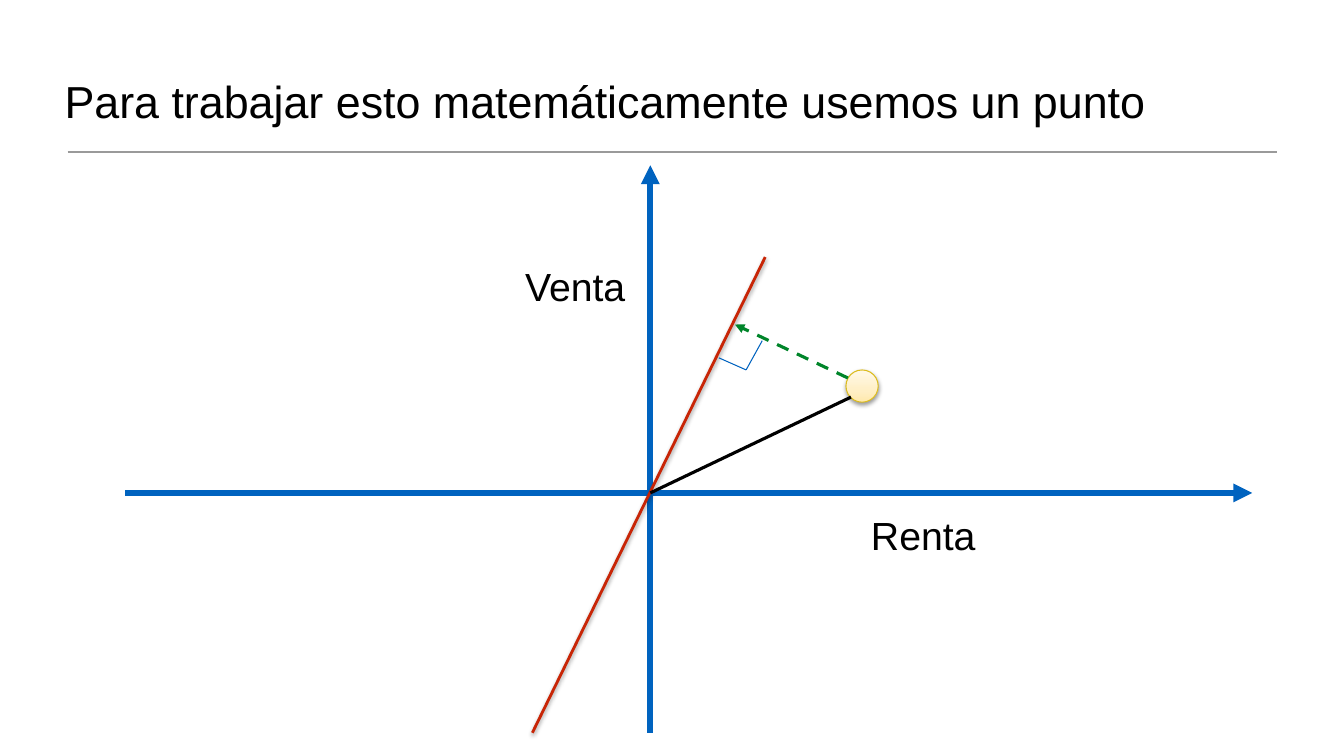
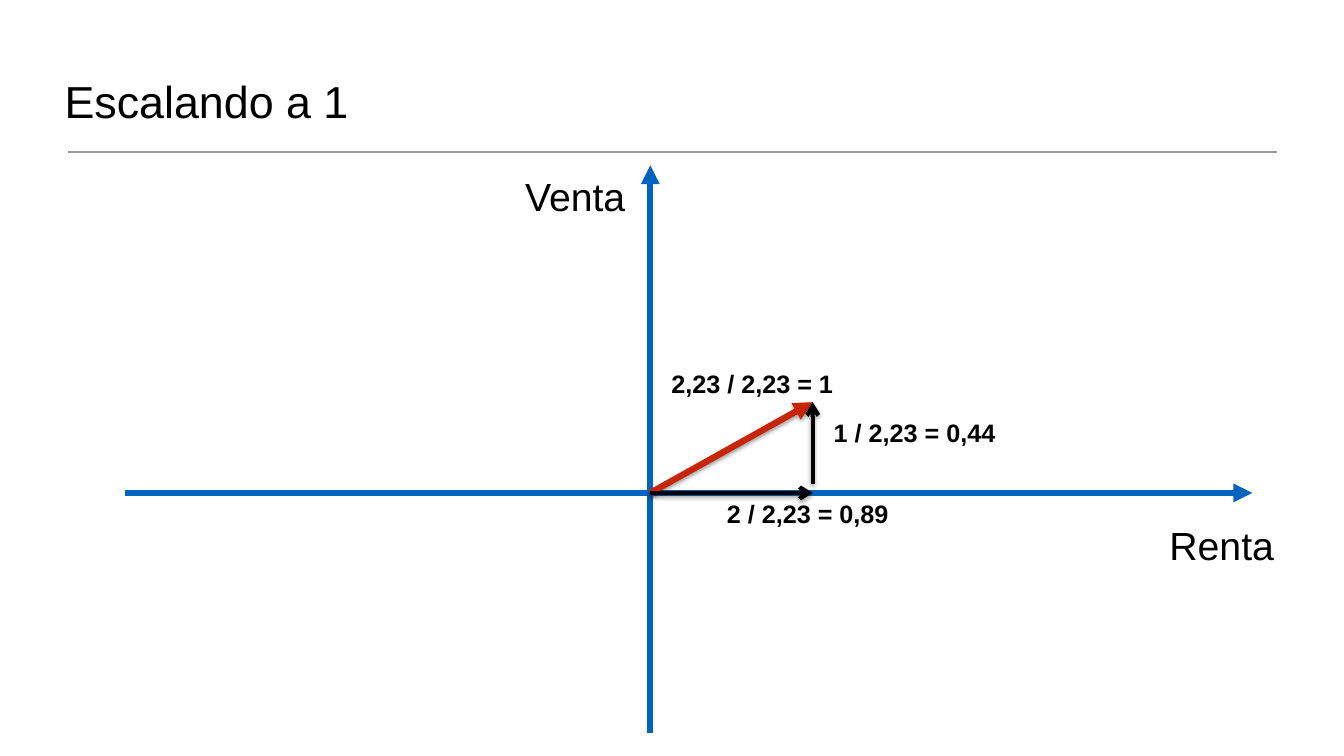
from dataclasses import dataclass
from typing import Any, Optional

from pptx import Presentation
from pptx.dml.color import RGBColor
from pptx.enum.dml import MSO_LINE
from pptx.enum.shapes import MSO_CONNECTOR, MSO_SHAPE
from pptx.enum.text import MSO_ANCHOR, MSO_AUTO_SIZE, PP_ALIGN
from pptx.oxml import parse_xml
from pptx.oxml.ns import nsdecls
from pptx.util import Inches, Pt

Point = tuple[float, float]

BLACK, BLUE, RED, GREEN = "000000", "0063BF", "C82506", "00852A"
GRAY, GOLD = "9A9A9A", "DCBC1E"
CREAM = ((0, "FFE9AD"), (35, "FFEFC5"), (100, "FFF9E9"))
ZERO = (6.45, 4.89)
TIP = (8.06, 3.99)
CORNER = (7.4, 3.67)


@dataclass(frozen=True)
class Shade:
    alpha: int
    dist: float
    blur: float = 3.1


SOFT = Shade(38, 1.6)
DARK = Shade(35, 1.8)


@dataclass(frozen=True)
class Line:
    start: Point
    end: Point
    color: str
    width: float
    arrow: str = ""
    dash: Optional[MSO_LINE] = None
    shade: Optional[Shade] = None


@dataclass(frozen=True)
class Label:
    text: str
    left: float
    top: float
    width: float
    height: float = 0.4
    size: int = 18
    bold: bool = True
    wrap: bool = False


def rgb(color: str) -> RGBColor:
    return RGBColor.from_string(color)


def style(target: Any, values: dict[str, Any]) -> None:
    for name, value in values.items():
        setattr(target, name, value)


def place(shape: Any, left: float, top: float, width: float, height: float) -> None:
    sides = {"left": left, "top": top, "width": width, "height": height}
    style(shape, {name: Inches(size) for name, size in sides.items()})


def write(frame: Any, text: str, size: int, bold: bool = False) -> None:
    frame.text = text
    part = frame.paragraphs[0]
    part.alignment = PP_ALIGN.LEFT
    font = part.runs[0].font
    style(font, {"name": "Arial", "size": Pt(size), "bold": bold})
    font.color.rgb = rgb(BLACK)


def cast(shape: Any, shade: Optional[Shade]) -> None:
    inner = ""
    if shade:
        inner = (
            f'<a:outerShdw blurRad="{Pt(shade.blur)}" dist="{Pt(shade.dist)}" '
            f'dir="5400000" rotWithShape="0"><a:srgbClr val="{BLACK}">'
            f'<a:alpha val="{shade.alpha * 1000}"/></a:srgbClr></a:outerShdw>'
        )
    shape._element.spPr.append(
        parse_xml(f'<a:effectLst {nsdecls("a")}>{inner}</a:effectLst>')
    )


def draw_line(slide: Any, item: Line) -> None:
    ends = [Inches(n) for n in (*item.start, *item.end)]
    shape = slide.shapes.add_connector(MSO_CONNECTOR.STRAIGHT, *ends)
    shape.line.color.rgb = rgb(item.color)
    style(shape.line, {"width": Pt(item.width), "dash_style": item.dash})
    if item.arrow:
        shape.line._get_or_add_ln().append(
            parse_xml(f'<a:tailEnd {nsdecls("a")} type="{item.arrow}"/>')
        )
    cast(shape, item.shade)


def draw_label(slide: Any, item: Label) -> None:
    sides = (item.left, item.top, item.width, item.height)
    frame = slide.shapes.add_textbox(*map(Inches, sides)).text_frame
    write(frame, item.text, item.size, item.bold)
    style(frame, {"word_wrap": item.wrap, "auto_size": MSO_AUTO_SIZE.SHAPE_TO_FIT_TEXT})


def draw_dot(slide: Any, left: float, top: float, size: float) -> None:
    sides = map(Inches, (left, top, size, size))
    dot = slide.shapes.add_shape(MSO_SHAPE.OVAL, *sides)
    stops = "".join(
        f'<a:gs pos="{pos * 1000}"><a:srgbClr val="{color}"/></a:gs>'
        for pos, color in CREAM
    )
    fill = parse_xml(
        f'<a:gradFill {nsdecls("a")} rotWithShape="1"><a:gsLst>{stops}</a:gsLst>'
        '<a:lin ang="16200000" scaled="0"/></a:gradFill>'
    )
    dot._element.spPr.insert(2, fill)
    dot.line.color.rgb = rgb(GOLD)
    dot.line.width = Pt(0.75)
    cast(dot, SOFT)


def add_slide(deck: Any, title: str) -> Any:
    slide = deck.slides.add_slide(deck.slide_layouts[5])
    draw_line(slide, Line((0.67, 1.51), (12.67, 1.51), GRAY, 1))
    head = slide.shapes.title
    place(head, 0.58, 0.25, 12.17, 1.07)
    frame = head.text_frame
    write(frame, title, 32)
    edges = ("margin_left", "margin_right", "margin_top", "margin_bottom")
    style(frame, dict.fromkeys(edges, Inches(0.06)))
    style(frame, {
        "vertical_anchor": MSO_ANCHOR.BOTTOM,
        "auto_size": MSO_AUTO_SIZE.NONE,
        "word_wrap": True,
    })
    return slide


def draw_axes(slide: Any, renta: Point, venta: Point) -> None:
    x, y = ZERO
    draw_line(slide, Line((1.24, y), (12.42, y), BLUE, 4.5, "triangle"))
    draw_line(slide, Line((x, 7.27), (x, 1.64), BLUE, 4.5, "triangle"))
    draw_label(slide, Label("Renta", *renta, 1.25, 0.57, 28, False))
    draw_label(slide, Label("Venta", *venta, 1.23, 0.57, 28, False))


def draw_point(deck: Any) -> None:
    slide = add_slide(deck, "Para trabajar esto matemáticamente usemos un punto")
    draw_dot(slide, 8.39, 3.67, 0.32)
    draw_axes(slide, (8.54, 5.02), (5.11, 2.55))
    for item in (
        Line((7.59, 2.55), (5.28, 7.27), RED, 2, shade=SOFT),
        Line((8.41, 3.75), (7.29, 3.22), GREEN, 2.25, "triangle", MSO_LINE.DASH),
        Line((7.13, 3.55), CORNER, BLUE, 0.75),
        Line((7.56, 3.38), CORNER, BLUE, 0.75),
        Line((8.44, 3.94), ZERO, BLACK, 2.25),
    ):
        draw_line(slide, item)


def draw_scale(deck: Any) -> None:
    slide = add_slide(deck, "Escalando a 1")
    draw_axes(slide, (11.5, 5.12), (5.11, 1.66))
    for item in (
        Line(ZERO, TIP, RED, 4.5, "triangle", shade=SOFT),
        Line(ZERO, (TIP[0], ZERO[1]), BLACK, 3, "arrow", shade=DARK),
        Line((TIP[0], 4.8), TIP, BLACK, 3, "arrow", shade=DARK),
    ):
        draw_line(slide, item)
    for item in (
        Label("2 / 2,23 = 0,89", 7.11, 4.89, 1.82),
        Label("1 / 2,23 = 0,44", 8.17, 4.09, 1.82),
        Label("2,23 / 2,23 = 1", 6.56, 3.6, 2, wrap=True),
    ):
        draw_label(slide, item)


def main() -> None:
    deck = Presentation()
    style(deck, {"slide_width": Inches(13.33), "slide_height": Inches(7.5)})
    draw_point(deck)
    draw_scale(deck)
    deck.save("out.pptx")


main()
